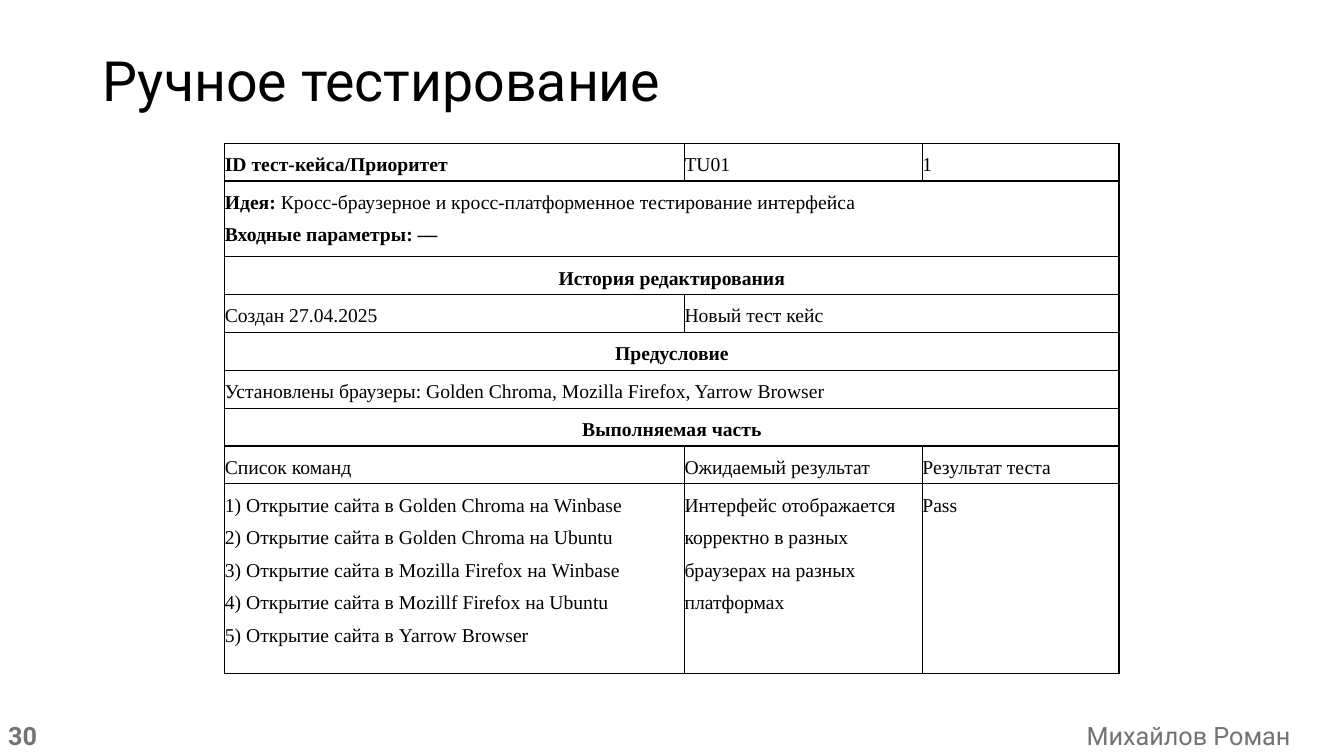
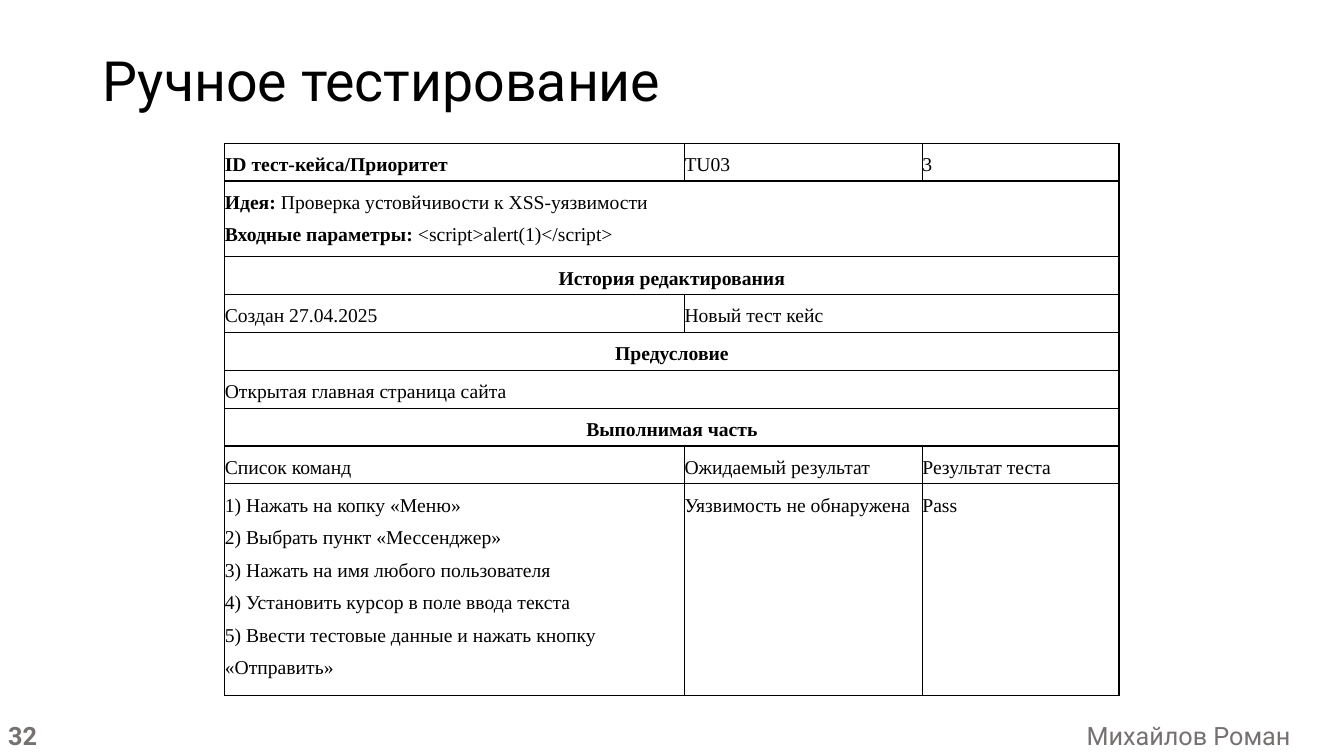
import pptx
import pptx.util
import pptx.dml.color
import pptx.enum.text
import pptx.oxml
import pptx.oxml.ns
from dataclasses import dataclass

ALIGN = pptx.enum.text.PP_ALIGN

# Content: a paragraph is a (bold part, plain part) pair
TITLE = "Ручное тестирование"
AUTHOR = "Михайлов Роман"
CASES = [
    {
        "page": "30", "id": "TU01", "priority": "1",
        "idea": "Кросс-браузерное и кросс-платформенное тестирование интерфейса",
        "inputs": ("Входные параметры: —", ""),
        "precondition": "Установлены браузеры: Golden Chroma, Mozilla Firefox, Yarrow Browser",
        "run heading": "Выполняемая часть",
        "steps": [
            "Открытие сайта в Golden Chroma на Winbase",
            "Открытие сайта в Golden Chroma на Ubuntu",
            "Открытие сайта в Mozilla Firefox на Winbase",
            "Открытие сайта в Mozillf Firefox на Ubuntu",
            "Открытие сайта в Yarrow Browser",
        ],
        "expected": "Интерфейс отображается корректно в разных браузерах на разных платформах",
    },
    {
        "page": "32", "id": "TU03", "priority": "3",
        "idea": "Проверка устовйчивости к XSS-уязвимости",
        "inputs": ("Входные параметры: ", "<script>alert(1)</script>"),
        "precondition": "Открытая главная страница сайта",
        "run heading": "Выполнимая часть",
        "steps": [
            "Нажать на копку «Меню»",
            "Выбрать пункт «Мессенджер»",
            "Нажать на имя любого пользователя",
            "Установить курсор в поле ввода текста",
            "Ввести тестовые данные и нажать кнопку «Отправить»",
        ],
        "expected": "Уязвимость не обнаружена",
    },
]


@dataclass(frozen=True)
class TextStyle:
    font: str
    size: float
    color: str
    spacing: float


class Theme:
    title = TextStyle("Roboto", 39.6, "000000", 0.9)
    body = TextStyle("Times New Roman", 14, "000000", 1.5)
    footer = TextStyle("Roboto", 18, "767171", 1.0)
    border_color = "000000"
    border_width = 1


# Grid, in inches; columns are shares of the table width
SLIDE_WIDTH, SLIDE_HEIGHT = 13.33, 7.5
TITLE_AREA = (0.92, 0.4, 11.5, 0.85)
CASE_WIDTH, CASE_TOP = 8.87, 1.42
CASE_COLUMNS = (0.514, 0.266, 0.22)
CASE_ROWS = (1, 2, 1, 1, 1, 1, 1, 1, 5)
ROW_UNIT = 5.26 / sum(CASE_ROWS)
FOOTER_LEFT, FOOTER_TOP, FOOTER_WIDTH, FOOTER_HEIGHT = -0.02, 7.11, 12.92, 0.42
FOOTER_COLUMNS = (0.18, 0.82)


def inches(*values):
    return [pptx.util.Inches(value) for value in values]


def write(frame, paragraphs, style, align):
    for index, parts in enumerate(paragraphs):
        para = frame.add_paragraph() if index else frame.paragraphs[0]
        para.alignment = align
        para.line_spacing = style.spacing
        for text, bold in zip(parts, (True, False)):
            if text:
                span = para.add_run()
                span.text = text
                span.font.name = style.font
                span.font.size = pptx.util.Pt(style.size)
                span.font.bold = bold
                span.font.color.rgb = pptx.dml.color.RGBColor.from_string(style.color)


def add_plain_table(page, left, top, width, columns, heights):
    area = inches(left, top, width, sum(heights))
    table = page.shapes.add_table(len(heights), len(columns), *area).table
    table.first_row = table.horz_banding = False
    for column, share in zip(table.columns, columns):
        column.width = pptx.util.Inches(width * share)
    for row, height in zip(table.rows, heights):
        row.height = pptx.util.Inches(height)
    for cell in table.iter_cells():
        cell.fill.background()
    return table


def add_borders(cell):
    properties = cell._tc.get_or_add_tcPr()
    for index, side in enumerate(("lnL", "lnR", "lnT", "lnB")):
        line = pptx.oxml.parse_xml(
            f'<a:{side} {pptx.oxml.ns.nsdecls("a")} w="{pptx.util.Pt(Theme.border_width)}">'
            f'<a:solidFill><a:srgbClr val="{Theme.border_color}"/></a:solidFill></a:{side}>'
        )
        properties.insert(index, line)


def case_rows(case):
    """Rows of (paragraphs, columns spanned, alignment)."""
    def plain(text, columns=1):
        return [("", text)], columns, ALIGN.JUSTIFY

    def heading(text):
        return [(text, "")], 3, ALIGN.CENTER

    steps = [("", f"{number}) {step}") for number, step in enumerate(case["steps"], 1)]
    return [
        [([("ID тест-кейса/Приоритет", "")], 1, ALIGN.JUSTIFY),
         plain(case["id"]), plain(case["priority"])],
        [([("Идея: ", case["idea"]), case["inputs"]], 3, ALIGN.JUSTIFY)],
        [heading("История редактирования")],
        [plain("Создан 27.04.2025"), plain("Новый тест кейс", 2)],
        [heading("Предусловие")],
        [plain(case["precondition"], 3)],
        [heading(case["run heading"])],
        [plain("Список команд"), plain("Ожидаемый результат"), plain("Результат теста")],
        [(steps, 1, ALIGN.LEFT), ([("", case["expected"])], 1, ALIGN.LEFT), plain("Pass")],
    ]


def add_title(page):
    box = page.shapes.add_textbox(*inches(*TITLE_AREA))
    box.text_frame.word_wrap = True
    box.text_frame.vertical_anchor = pptx.enum.text.MSO_ANCHOR.MIDDLE
    write(box.text_frame, [("", TITLE)], Theme.title, ALIGN.LEFT)


def add_case_table(page, case):
    heights = [units * ROW_UNIT for units in CASE_ROWS]
    left = (SLIDE_WIDTH - CASE_WIDTH) / 2
    table = add_plain_table(page, left, CASE_TOP, CASE_WIDTH, CASE_COLUMNS, heights)
    for cell in table.iter_cells():
        cell.margin_left = cell.margin_right = cell.margin_top = cell.margin_bottom = 0
        add_borders(cell)
    for row, cells in enumerate(case_rows(case)):
        column = 0
        for paragraphs, columns, align in cells:
            cell = table.cell(row, column)
            if columns > 1:
                cell.merge(table.cell(row, column + columns - 1))
            write(cell.text_frame, paragraphs, Theme.body, align)
            column += columns


def add_footer(page, number):
    table = add_plain_table(page, FOOTER_LEFT, FOOTER_TOP, FOOTER_WIDTH,
                            FOOTER_COLUMNS, [FOOTER_HEIGHT])
    write(table.cell(0, 0).text_frame, [(number, "")], Theme.footer, ALIGN.LEFT)
    write(table.cell(0, 1).text_frame, [("", AUTHOR)], Theme.footer, ALIGN.RIGHT)


def main():
    deck = pptx.Presentation()
    deck.slide_width, deck.slide_height = inches(SLIDE_WIDTH, SLIDE_HEIGHT)
    for case in CASES:
        page = deck.slides.add_slide(deck.slide_layouts[6])
        add_title(page)
        add_case_table(page, case)
        add_footer(page, case["page"])
    deck.save("out.pptx")


if __name__ == "__main__":
    main()
